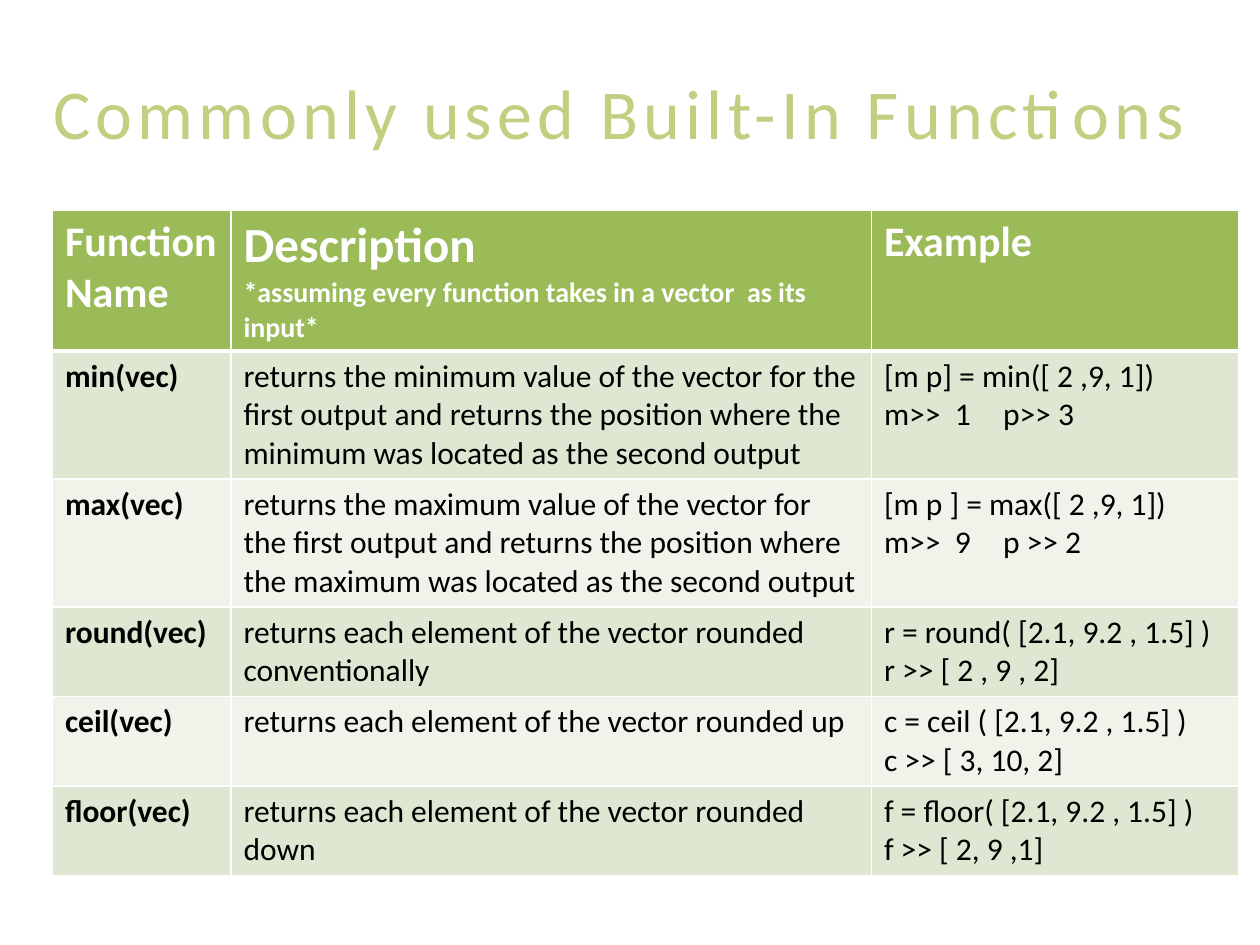
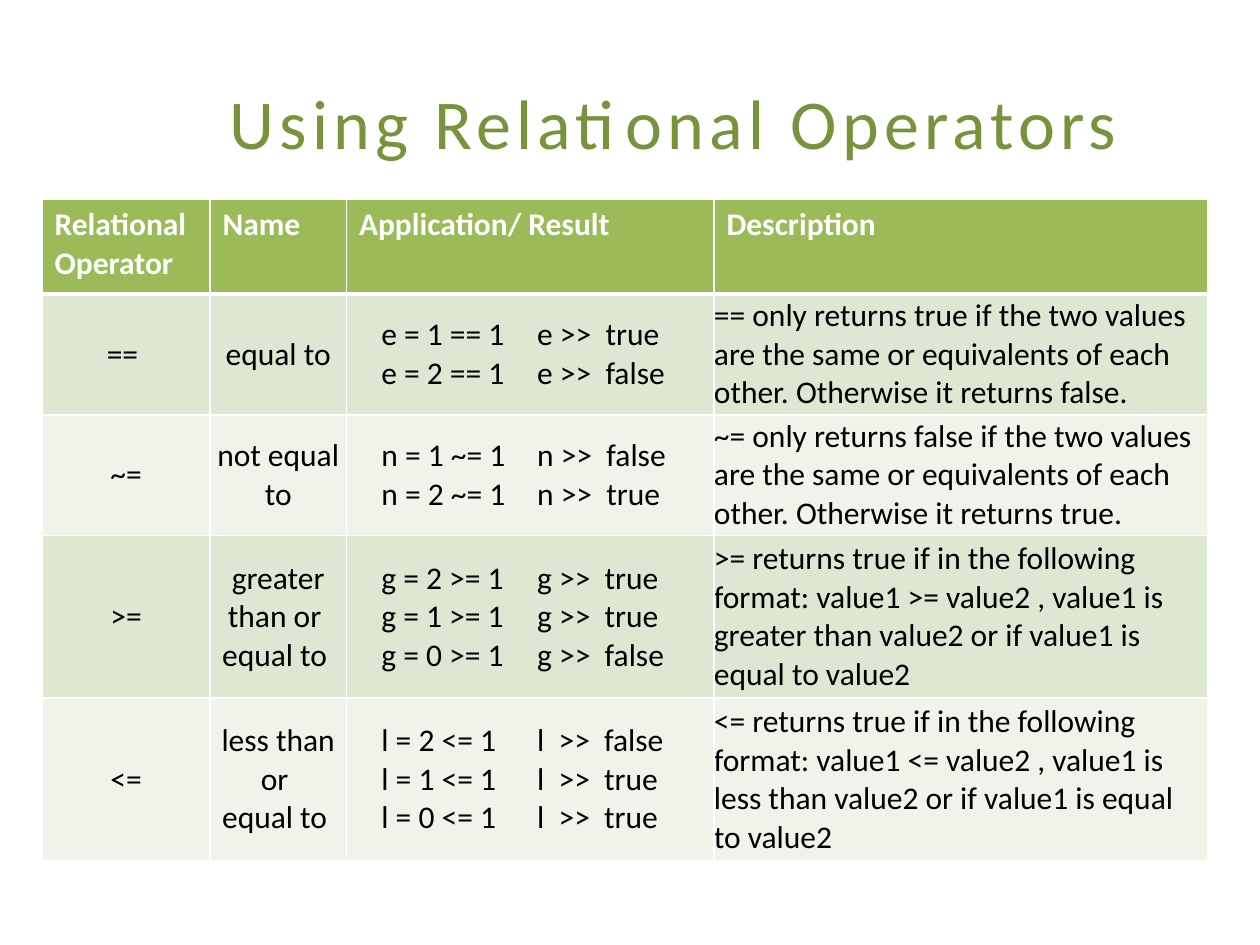
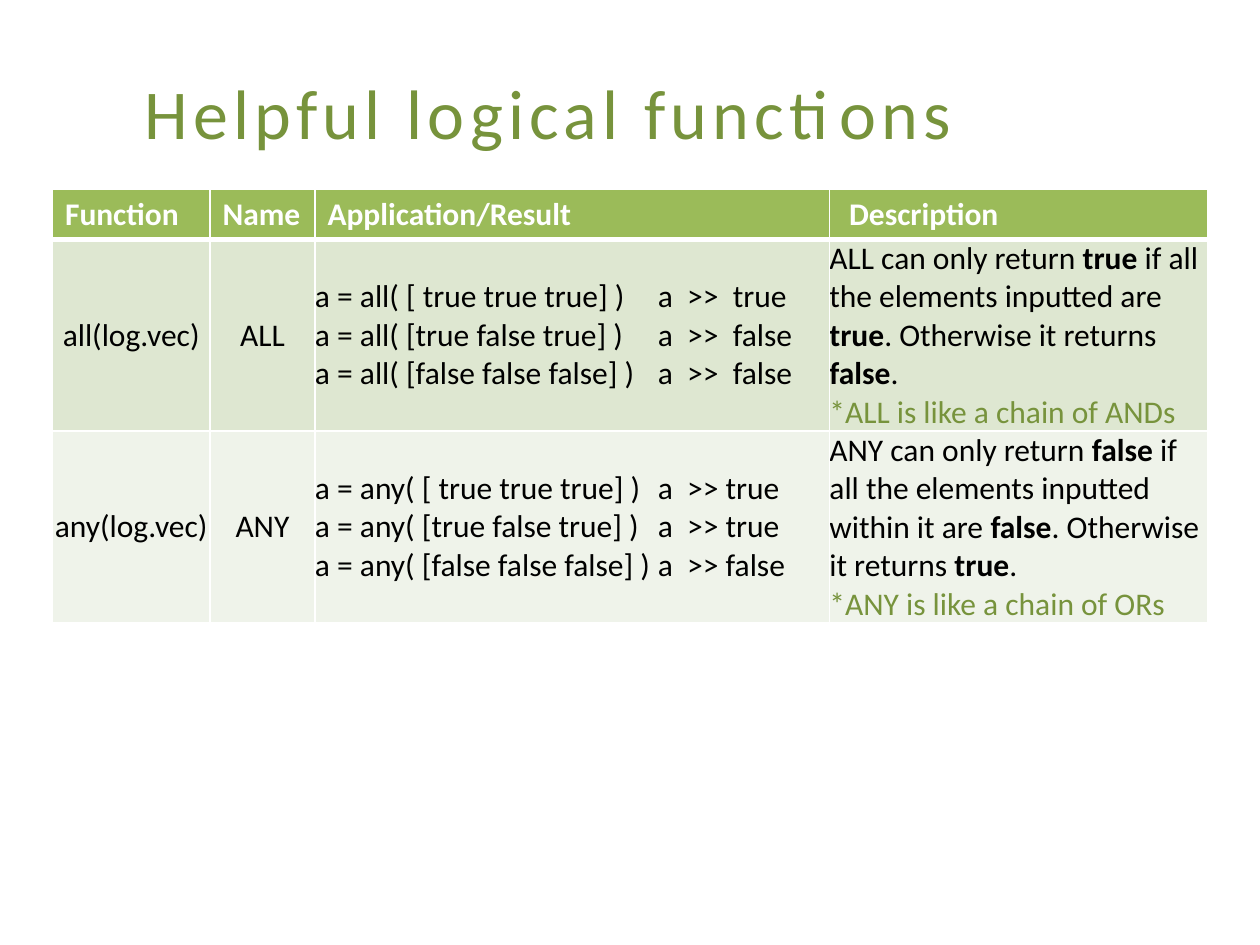
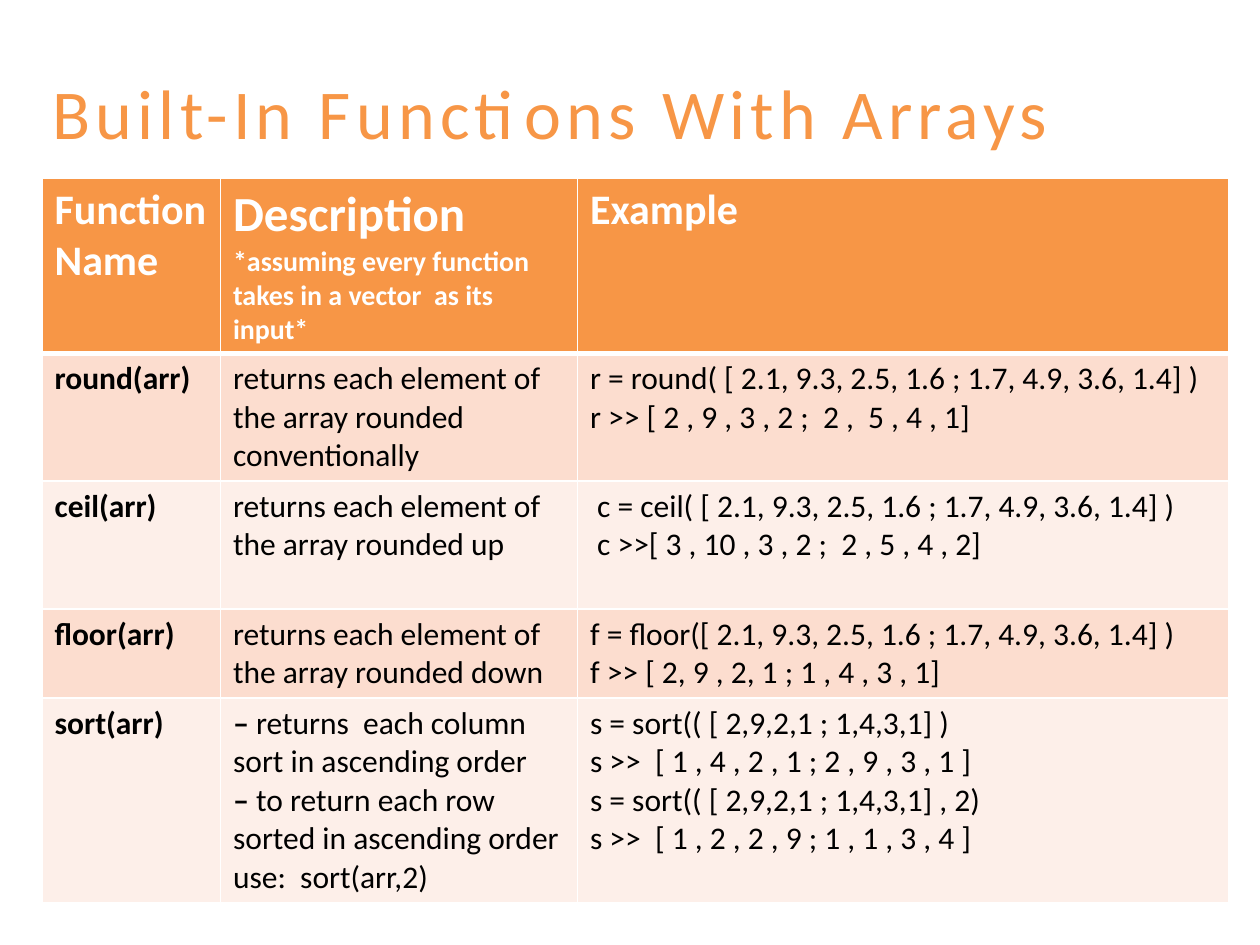
from dataclasses import dataclass

from lxml import etree
from pptx import Presentation
from pptx.dml.color import RGBColor
from pptx.enum.text import MSO_ANCHOR, MSO_AUTO_SIZE, PP_ALIGN
from pptx.oxml.ns import qn
from pptx.util import Pt

LEFT, CENTER = PP_ALIGN.LEFT, PP_ALIGN.CENTER
TOP, MIDDLE = MSO_ANCHOR.TOP, MSO_ANCHOR.MIDDLE
GROW = MSO_AUTO_SIZE.SHAPE_TO_FIT_TEXT


@dataclass(frozen=True)
class Theme:
    font: str = "Calibri"
    white: str = "FFFFFF"
    black: str = "000000"
    pale_green: str = "C3CE81"
    dark_green: str = "77933C"
    orange: str = "F79646"
    green_bands: tuple = ("9BBB59", "DEE7D1", "EFF3EA")
    orange_bands: tuple = ("F79646", "FCDDCF", "FDEFE9")
    title_size: int = 40
    title_spacing: int = 3
    lead_size: int = 28
    heading_size: int = 24
    body_size: int = 18
    note_size: int = 16
    grid_line: int = 1
    header_line: int = 3


THEME = Theme()


@dataclass(frozen=True)
class Column:
    width: int
    bold: bool = False
    align: int = LEFT
    indent: int = 0
    tab: int = 0


@dataclass(frozen=True)
class Layout:
    """How the cells of one table are dressed."""
    bands: tuple
    heading_size: int
    insets: tuple  # horizontal and vertical, body rows only
    anchor: int


REFERENCE = (7.2, 3.6)
VECTOR_LAYOUT = Layout(THEME.green_bands, THEME.heading_size, REFERENCE, TOP)
ARRAY_LAYOUT = Layout(THEME.orange_bands, THEME.heading_size, REFERENCE, TOP)
LOGIC_LAYOUT = Layout(THEME.green_bands, THEME.body_size, (0, 0), MIDDLE)


def write(paragraph, text, size=THEME.body_size, color=THEME.black,
          bold=False, spacing=0):
    """Add text to a paragraph; a vertical tab in it breaks the line."""
    for number, line in enumerate(text.split("\v")):
        if number:
            paragraph.add_line_break()
        if not line:
            continue
        run = paragraph.add_run()
        run.text = line
        font = run.font
        font.name, font.size, font.bold = THEME.font, Pt(size), bold
        font.color.rgb = RGBColor.from_string(color)
        if spacing:
            run._r.get_or_add_rPr().set("spc", str(spacing * 100))


def set_tab(paragraph, position):
    tabs = etree.SubElement(paragraph._p.get_or_add_pPr(), qn("a:tabLst"))
    etree.SubElement(tabs, qn("a:tab"), pos=str(Pt(position)), algn="l")


def set_borders(cell, top, bottom):
    """Draw the white grid; the lines must stand before the cell's fill."""
    widths = {"L": THEME.grid_line, "R": THEME.grid_line, "T": top, "B": bottom}
    properties = cell._tc.get_or_add_tcPr()
    for place, (side, width) in enumerate(widths.items()):
        line = etree.Element(qn(f"a:ln{side}"), w=str(Pt(width)))
        fill = etree.SubElement(line, qn("a:solidFill"))
        etree.SubElement(fill, qn("a:srgbClr"), val=THEME.white)
        properties.insert(place, line)


def fill_cell(cell, content, column, **style):
    """Write content: paragraphs, each a string or a list of (text, format)."""
    frame = cell.text_frame
    paragraphs = [content] if isinstance(content, str) else content
    for number, runs in enumerate(paragraphs):
        paragraph = frame.add_paragraph() if number else frame.paragraphs[0]
        paragraph.alignment = column.align
        if column.tab:
            set_tab(paragraph, column.tab)
        for text, changes in [(runs, {})] if isinstance(runs, str) else runs:
            write(paragraph, text, **{**style, **changes})


def add_title(slide, text, left, top, width, color):
    box = slide.shapes.add_textbox(Pt(left), Pt(top), Pt(width), Pt(55.4))
    frame = box.text_frame
    frame.word_wrap = False
    frame.auto_size = GROW
    paragraph = frame.paragraphs[0]
    paragraph.alignment = CENTER
    write(paragraph, text, size=THEME.title_size, color=color,
          spacing=THEME.title_spacing)


def add_reference_table(slide, left, top, columns, heights, headings, entries,
                        layout):
    width = sum(column.width for column in columns)
    table = slide.shapes.add_table(
        len(heights), len(columns), Pt(left), Pt(top), Pt(width),
        Pt(sum(heights))).table
    for row, height in zip(table.rows, heights):
        row.height = Pt(height)
    header, *stripes = layout.bands
    thin, thick = THEME.grid_line, THEME.header_line
    for x, column in enumerate(columns):
        table.columns[x].width = Pt(column.width)
        for y, entry in enumerate([headings, *entries]):
            cell = table.cell(y, x)
            cell.fill.solid()
            band = stripes[(y - 1) % 2] if y else header
            cell.fill.fore_color.rgb = RGBColor.from_string(band)
            set_borders(cell, thick if y == 1 else thin, thin if y else thick)
            if y == 0:
                fill_cell(cell, entry[x], Column(column.width), bold=True,
                          size=layout.heading_size, color=THEME.white)
                continue
            side, edge = layout.insets
            cell.margin_left = Pt(side + column.indent)
            cell.margin_right = Pt(side)
            cell.margin_top = cell.margin_bottom = Pt(edge)
            cell.vertical_anchor = layout.anchor
            fill_cell(cell, entry[x], column, bold=column.bold)


FUNCTION_HEADINGS = (
    "Function Name",
    [[("Description", {"size": THEME.lead_size})],
     [("*assuming every function takes in a vector  as its input*",
       {"size": THEME.note_size})]],
    "Example",
)


def vector_functions(slide):
    def extreme(kind):
        return (f"returns the {kind} value of the vector for the first output "
                f"and returns the position where the {kind} was located as "
                "the second output")

    rounded = "returns each element of the vector rounded "
    add_reference_table(
        slide, 30, 120,
        [Column(102, bold=True), Column(366), Column(210, tab=68)],
        [80, 73, 73, 51.2, 51.2, 51.2], FUNCTION_HEADINGS,
        [("min(vec)", extreme("minimum"),
          ["[m p] = min([ 2 ,9, 1])", "m>>  1\tp>> 3"]),
         ("max(vec)", extreme("maximum"),
          ["[m p ] = max([ 2 ,9, 1])", "m>>  9\tp >> 2"]),
         ("round(vec)", rounded + "conventionally",
          ["r = round( [2.1, 9.2 , 1.5] )", "r >> [ 2 , 9 , 2]"]),
         ("ceil(vec)", rounded + "up",
          ["c = ceil ( [2.1, 9.2 , 1.5] )", "c >> [ 3, 10, 2]"]),
         ("floor(vec)", rounded + "down",
          ["f = floor( [2.1, 9.2 , 1.5] )", "f >> [ 2, 9 ,1]"])],
        VECTOR_LAYOUT)
    add_title(slide, "Commonly used Built-In Functions", 18, 36, 672.5,
              THEME.pale_green)


def relational_operators(slide):
    def equality(operator, result, otherwise):
        return (f"{operator} only returns {result} if the two values are the "
                "same or equivalents of each other. "
                f"Otherwise it returns {otherwise}.")

    def ordering(operator, relation):
        return (f"{operator} returns true if in the following format: "
                f"value1 {operator} value2 , value1 is {relation} than value2 "
                "or if value1 is equal to value2")

    def trials(name, operator, values, results, arrow=" >>  "):
        return "\v".join(f"{name} = {value} {operator} 1\t{name}{arrow}{result}"
                         for value, result in zip(values, results))

    add_title(slide, "Using Relational Operators", 120, 42, 530,
              THEME.dark_green)
    add_reference_table(
        slide, 24, 114,
        [Column(96, align=CENTER), Column(78, align=CENTER),
         Column(210, indent=20, tab=89), Column(282)],
        [54, 69, 69, 93, 93],
        ("Relational Operator", "Name", "Application/ Result", "Description"),
        [("== ", "equal to", trials("e", "==", (1, 2), ("true", "false")),
          equality("==", "true", "false")),
         ("~=", "not equal to", trials("n", "~=", (1, 2), ("false", "true")),
          equality("~=", "false", "true")),
         (">=", "greater than or \vequal to ",
          trials("g", ">=", (2, 1, 0), ("true", "true", "false")),
          ordering(">=", "greater")),
         ("<=", "less than or \vequal to ",
          trials("l", "<=", (2, 1, 0), ("false", "true", "true"), "  >>  "),
          ordering("<=", "less"))],
        LOGIC_LAYOUT)


def logical_functions(slide):
    inputs = ("[ true true true]", "[true false true]", "[false false false]")

    def entry(name, results, arrow, scope, value, otherwise, chained):
        label = name.upper()
        strong = {"bold": True}
        calls = "\v".join(f"a = {name}( {vector} )\ta  {arrow}{result}"
                          for vector, result in zip(inputs, results))
        description = [
            (f"{label} can only return ", {}), (value, strong),
            (f" if all the elements inputted {scope} ", {}), (value, strong),
            (". Otherwise it returns ", {}), (otherwise, strong), (". \v", {}),
            (f"*{label} is like a chain of {chained}",
             {"color": THEME.dark_green})]
        return f"{name}(log.vec)", label, calls, [description]

    add_reference_table(
        slide, 30, 108,
        [Column(90, align=CENTER), Column(60, align=CENTER),
         Column(294, tab=196), Column(216)],
        [28.8, 109.6, 109.6],
        ("Function", "Name", "Application/Result", " Description"),
        [entry("all", ("true", "false", "false"), ">>  ", "are",
               "true", "false", "ANDs"),
         entry("any", ("true", "true", "false"), ">> ", "within it are",
               "false", "true", "ORs")],
        LOGIC_LAYOUT)
    add_title(slide, "Helpful logical functions", 72, 36, 483,
              THEME.dark_green)


def array_functions(slide):
    numbers = "[ 2.1, 9.3, 2.5, 1.6 ; 1.7, 4.9, 3.6, 1.4] )"
    rounded = "returns each element of the array rounded "
    dash = ("‒ ", {"bold": True})
    add_reference_table(
        slide, 24, 102, [Column(102, bold=True), Column(204), Column(372)],
        [100, 73, 73, 51, 117], FUNCTION_HEADINGS,
        [("round(arr)", rounded + "conventionally",
          ["r = round( " + numbers, "r >> [ 2 , 9 , 3 , 2 ;  2 ,  5 , 4 , 1]"]),
         ("ceil(arr)", rounded + "up",
          [" c = ceil( " + numbers, " c >>[ 3 , 10 , 3 , 2 ;  2 , 5 , 4 , 2]"]),
         ("floor(arr)", rounded + "down",
          ["f = floor(" + numbers, "f >> [ 2, 9 , 2, 1 ; 1 , 4 , 3 , 1]"]),
         ("sort(arr)",
          [[dash, ("returns  each column sort in ascending order", {})],
           [dash, ("to return each row sorted in ascending order use:  "
                   "sort(arr,2)", {})]],
          ["s = sort(( [ 2,9,2,1 ; 1,4,3,1] )",
           "s >>  [ 1 , 4 , 2 , 1 ; 2 , 9 , 3 , 1 ]",
           "s = sort(( [ 2,9,2,1 ; 1,4,3,1] , 2)",
           "s >>  [ 1 , 2 , 2 , 9 ; 1 , 1 , 3 , 4 ]"])],
        ARRAY_LAYOUT)
    add_title(slide, "Built-In Functions With Arrays", 18, 36, 593.3,
              THEME.orange)


def main():
    deck = Presentation()
    deck.slide_width, deck.slide_height = Pt(720), Pt(540)
    blank = deck.slide_layouts[6]
    for build in (vector_functions, relational_operators, logical_functions,
                  array_functions):
        build(deck.slides.add_slide(blank))
    deck.save("out.pptx")


if __name__ == "__main__":
    main()
